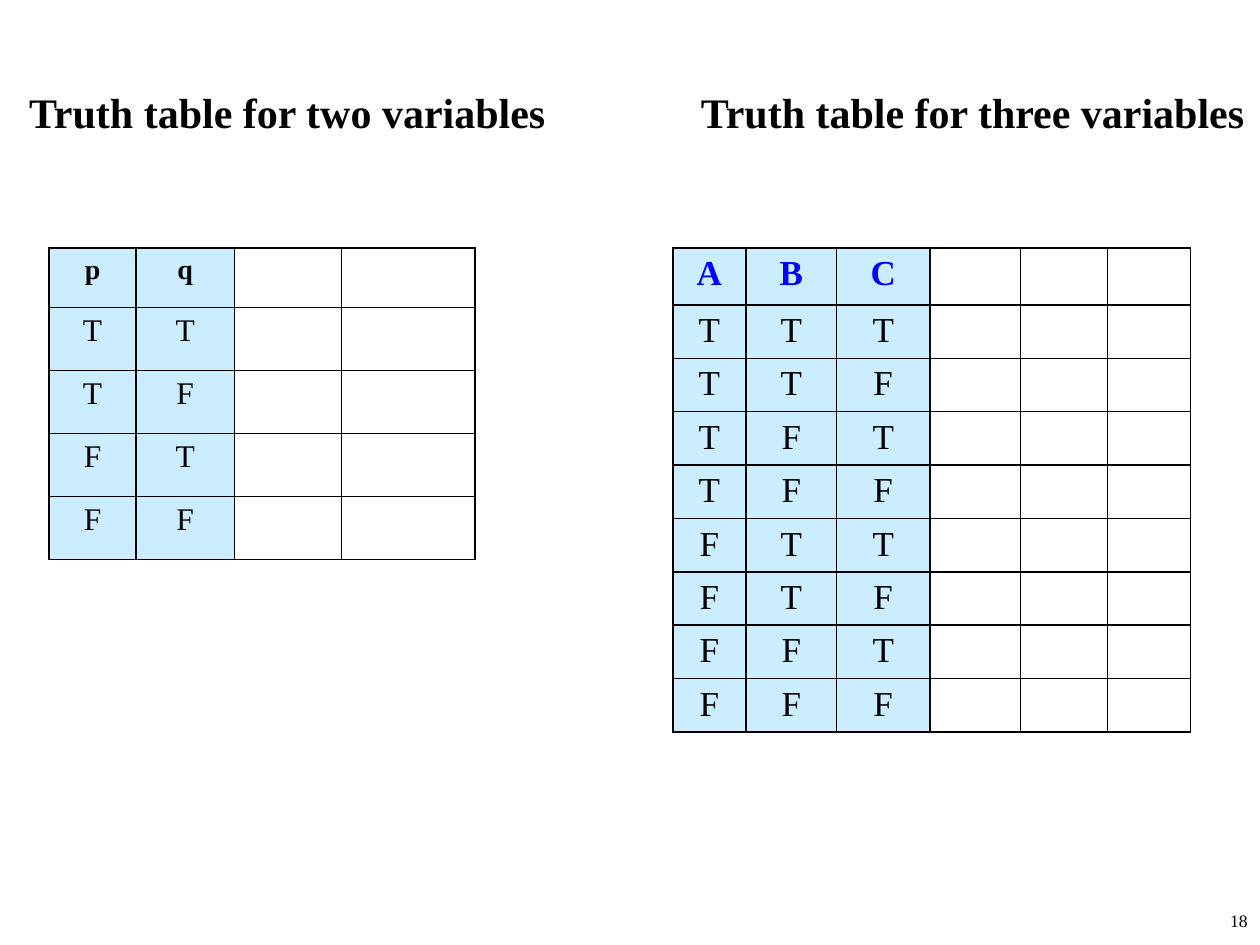
from itertools import product

from lxml import etree
from pptx import Presentation
from pptx import util as u
from pptx.dml.color import RGBColor
from pptx.enum import text
from pptx.oxml.ns import qn

COLORS = {"black": "000000", "blue": "0000FF", "pale": "CCECFF", "white": "FFFFFF"}


class SlideBuilder:
    font_name = "Times New Roman"
    border_width = u.Pt(1)

    def __init__(self, slide):
        self.slide = slide

    def color(self, name):
        return RGBColor.from_string(COLORS[name])

    def set_text(self, frame, content, size, align, color="black", bold=False):
        paragraph = frame.paragraphs[0]
        paragraph.text = content
        paragraph.alignment = align
        for run in paragraph.runs:
            run.font.name = self.font_name
            run.font.size = u.Pt(size)
            run.font.bold = bold
            run.font.color.rgb = self.color(color)
        return paragraph

    def text_box(self, content, box, size, align, anchor, bold=False):
        shape = self.slide.shapes.add_textbox(*map(u.Inches, box))
        frame = shape.text_frame
        frame.word_wrap = True
        frame.vertical_anchor = anchor
        self.set_text(frame, content, size, align, bold=bold)

    def heading(self, content, left):
        self.text_box(content, (left, 0.26, 4.68, 1.25), 24,
                      text.PP_ALIGN.CENTER, text.MSO_ANCHOR.MIDDLE, bold=True)

    def style_cell(self, cell, fill):
        properties = cell._tc.get_or_add_tcPr()
        for side in ("a:lnL", "a:lnR", "a:lnT", "a:lnB"):
            line = etree.SubElement(properties, qn(side), w=str(self.border_width))
            solid = etree.SubElement(line, qn("a:solidFill"))
            etree.SubElement(solid, qn("a:srgbClr"), val=COLORS["black"])
        cell.fill.solid()
        cell.fill.fore_color.rgb = self.color(fill)
        cell.margin_top = u.Inches(0.05)
        cell.margin_bottom = u.Inches(0.04)

    def truth_table(self, variables, left, widths, heights, header_size, body_size,
                    header_color="black"):
        """Fill one column per variable with every T/F case; leave the rest empty."""
        rows = [tuple(variables), *product("TF", repeat=len(variables))]
        frame = self.slide.shapes.add_table(
            len(rows), len(widths), u.Inches(left), u.Inches(1.97),
            u.Inches(sum(widths)), u.Inches(sum(heights)))
        table = frame.table
        for column, width in zip(table.columns, widths):
            column.width = u.Inches(width)
        for row, height in zip(table.rows, heights):
            row.height = u.Inches(height)
        for i, values in enumerate(rows):
            header = i == 0
            for j in range(len(widths)):
                cell = table.cell(i, j)
                filled = j < len(values)
                self.style_cell(cell, "pale" if filled else "white")
                if filled:
                    paragraph = self.set_text(
                        cell.text_frame, values[j],
                        header_size if header else body_size, text.PP_ALIGN.CENTER,
                        header_color if header else "black", header)
                    indents = paragraph._p.get_or_add_pPr()
                    indents.set("marL", str(u.Inches(0.25)))
                    indents.set("indent", str(u.Inches(-0.25)))


def main():
    presentation = Presentation()
    presentation.slide_width = u.Inches(10)
    presentation.slide_height = u.Inches(7.5)
    builder = SlideBuilder(presentation.slides.add_slide(presentation.slide_layouts[6]))

    builder.heading("Truth table for two variables", -0.06)
    builder.text_box("18", (7.92, 7.17, 2.08, 0.33), 10,
                     text.PP_ALIGN.RIGHT, text.MSO_ANCHOR.TOP)
    builder.heading("Truth table for three variables", 5.38)
    builder.truth_table("pq", 0.39, [0.69, 0.78, 0.85, 1.06],
                        [0.47] + [0.5] * 4, 16, 18)
    builder.truth_table("ABC", 5.34, [0.58, 0.72, 0.74, 0.72, 0.69, 0.66],
                        [0.45] + [0.41] * 8, 20, 20, "blue")

    presentation.save("out.pptx")


if __name__ == "__main__":
    main()
